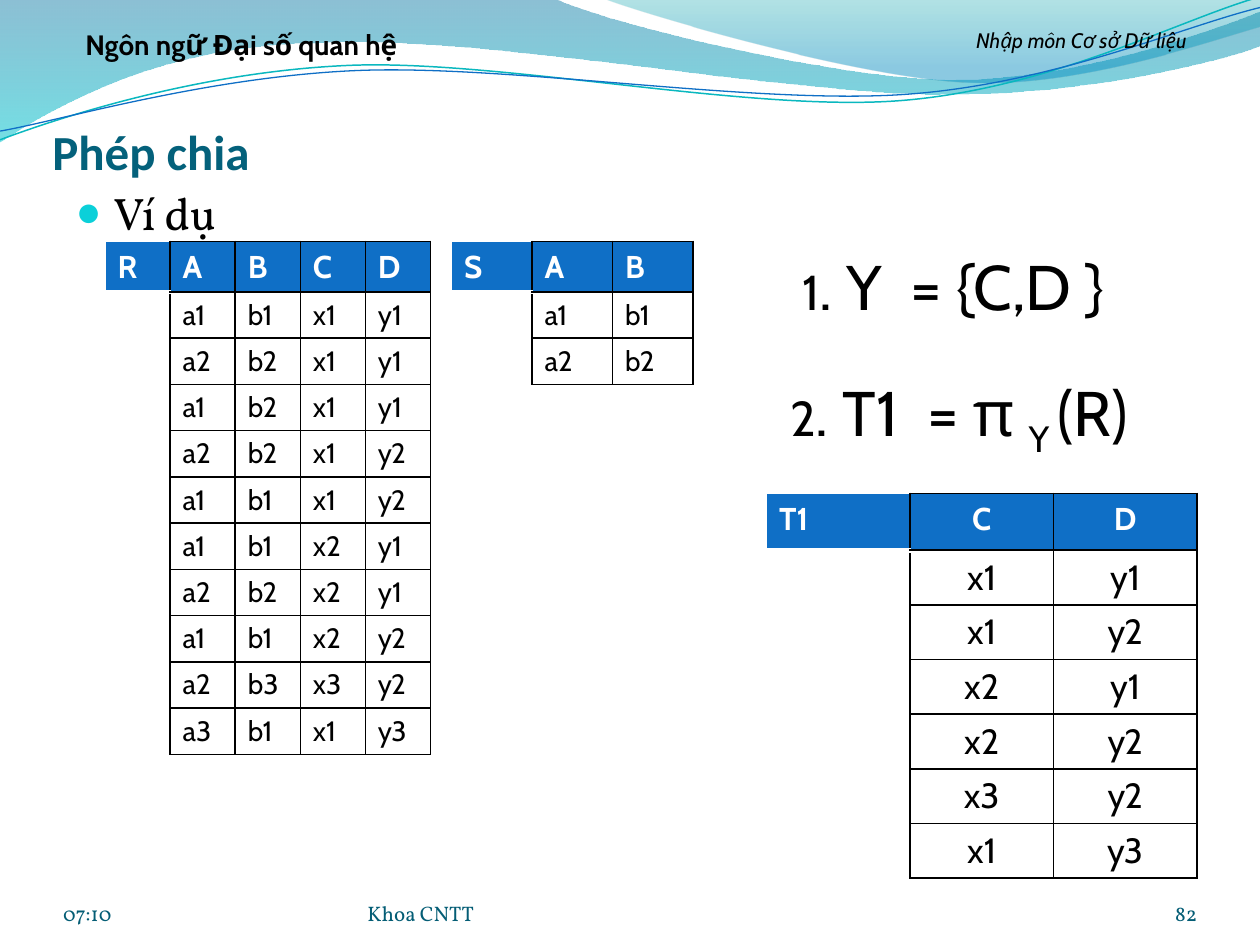
from dataclasses import dataclass

from lxml.etree import SubElement
from pptx import Presentation
from pptx.dml.color import RGBColor
from pptx.enum.text import MSO_ANCHOR, PP_ALIGN
from pptx.oxml.ns import qn
from pptx.util import Pt


@dataclass(frozen=True)
class Theme:
    blue: str = "0F6FC6"
    teal: str = "0AB8BF"
    bullet: str = "0BD0D9"
    heading: str = "04617B"
    footer: str = "045D75"
    black: str = "000000"
    white: str = "FFFFFF"
    upper_wave: tuple = ((0, "0074A1", 45), (1, "00C6CF", 55))
    right_wave: tuple = ((0, "00A1A9", 30), (0.8, "008BBF", 45))
    sans: str = "Cabin"
    serif: str = "Vollkorn"
    title_font: str = "Calibri"
    small: int = 12
    cell: int = 16
    header: int = 18
    large_cell: int = 20
    body: int = 26
    title: int = 28
    formula: int = 36


THEME = Theme()
LEFT, CENTER, RIGHT = PP_ALIGN.LEFT, PP_ALIGN.CENTER, PP_ALIGN.RIGHT

UPPER_WAVE = (0, -0.7), [
    [(317, -0.7)],
    [(343, 12.2), (478, 45.4), (546, 45.4)],
    [(614, 45.4), (690, 18.7), (720, 6.5)],
    [(720.7, 25.9)],
    [(707.8, 31.7), (626.4, 54.7), (537, 54)],
    [(447.8, 54), (275, 20.2), (185, 24.5)],
    [(92.9, 25.2), (33.1, 59.8), (-0.7, 81.4)],
]
RIGHT_WAVE = (344.9, -0.7), [
    [(366.5, 7.9), (491, 44.6), (553.7, 46.8)],
    [(616.3, 49.7), (691.9, 23), (720, 15.1)],
    [(720, 0)],
]
TEAL_CURVE = (0, 79.9), [
    [(34.6, 67), (113.8, 41), (199.4, 37.4)],
    [(284.4, 33.8), (427, 64.1), (513.4, 57.6)],
    [(599.8, 51.1), (675.4, 10.8), (718.6, -1.4)],
]
BLUE_CURVE = (0, 74.9), [
    [(33.8, 69.1), (118.1, 43.9), (203.8, 40.3)],
    [(290.2, 36.7), (429.8, 59.8), (516.2, 54)],
    [(601.9, 48.2), (675.4, 15.1), (720, 4.3)],
]


def rgb(value):
    return RGBColor.from_string(value)


def style(font, name, size, color, bold=False, italic=False):
    font.color.rgb = rgb(color)
    values = {"name": name, "size": Pt(size), "bold": bold, "italic": italic}
    for key, value in values.items():
        setattr(font, key, value)


def place(shape, left, top, width, height):
    values = {"left": left, "top": top, "width": width, "height": height}
    for key, value in values.items():
        setattr(shape, key, Pt(value))


def set_frame(frame, anchor, margins):
    values = {"word_wrap": True, "vertical_anchor": anchor}
    sides = ("margin_left", "margin_top", "margin_right", "margin_bottom")
    values.update(zip(sides, map(Pt, margins)))
    for key, value in values.items():
        setattr(frame, key, value)


def add_span(para, text, *look, baseline=0, **options):
    span = para.add_run()
    span.text = text
    style(span.font, *look, **options)
    if baseline:
        span.font._element.set("baseline", str(baseline * 1000))


def add_outline(page, outline, close):
    start, segments = outline
    builder = page.shapes.build_freeform(*map(Pt, start))
    builder.add_line_segments([tuple(map(Pt, segment[-1])) for segment in segments], close)
    shape = builder.convert_to_shape()
    shape.shadow.inherit = False
    for node, segment in zip(list(shape._element.iter(qn("a:lnTo"))), segments):
        if len(segment) == 3:
            node.tag = qn("a:cubicBezTo")
            for index, (x, y) in enumerate(segment[:2]):
                point = SubElement(node, qn("a:pt"))
                point.set("x", str(Pt(x) - shape.left))
                point.set("y", str(Pt(y) - shape.top))
                node.insert(index, point)
    return shape


def add_wave(page, outline, stops):
    shape = add_outline(page, outline, True)
    shape.line.fill.background()
    shape.fill.gradient()
    shape.fill.gradient_angle = 270
    for stop, (position, color, _) in zip(shape.fill.gradient_stops, stops):
        stop.position = position
        stop.color.rgb = rgb(color)
    for node, (_, _, opacity) in zip(shape._element.iter(qn("a:srgbClr")), stops):
        SubElement(node, qn("a:alpha")).set("val", str(opacity * 1000))


def add_curve(page, outline, color, width):
    shape = add_outline(page, outline, False)
    shape.fill.background()
    shape.line.color.rgb = rgb(color)
    shape.line.width = Pt(width)


def fill_title(page, text):
    title = page.shapes.title
    page.shapes._spTree.append(title._element)
    place(title, 30, 54, 672, 49)
    set_frame(title.text_frame, MSO_ANCHOR.BOTTOM, (0, 3.6, 0, 0))
    para = title.text_frame.paragraphs[0]
    para.alignment = LEFT
    add_span(para, text, THEME.title_font, THEME.title, THEME.heading, bold=True)


def fill_body(page, text):
    body = page.placeholders[1]
    page.shapes._spTree.append(body._element)
    place(body, 36, 102, 648, 408)
    para = body.text_frame.paragraphs[0]
    properties = para._p.get_or_add_pPr()
    properties.set("marL", str(Pt(21.6)))
    properties.set("indent", str(Pt(-21.6)))
    color = SubElement(properties, qn("a:buClr"))
    SubElement(color, qn("a:srgbClr")).set("val", THEME.bullet)
    SubElement(properties, qn("a:buSzPct")).set("val", "95000")
    SubElement(properties, qn("a:buChar")).set("char", "●")
    para.space_before = Pt(0)
    add_span(para, text, THEME.serif, THEME.body, THEME.black)


def add_label(page, bounds, spans, align=CENTER, anchor=MSO_ANCHOR.TOP,
              margins=(7.2, 3.6, 7.2, 3.6)):
    box = page.shapes.add_textbox(*map(Pt, bounds))
    set_frame(box.text_frame, anchor, margins)
    para = box.text_frame.paragraphs[0]
    para.alignment = align
    for text, look, options in spans:
        add_span(para, text, *look, **options)


def add_footer(page, left, width, text, align=LEFT):
    look = (THEME.serif, THEME.small, THEME.footer)
    add_label(page, (left, 500.4, width, 28.8), [(text, look, {})], align,
              MSO_ANCHOR.BOTTOM, (0, 0, 0, 0))


def add_formula(page, left, top, right_margin, parts):
    spans = [(text, (THEME.sans, size, THEME.black), {"baseline": baseline})
             for text, size, baseline in parts]
    add_label(page, (left, top, 264, 51), spans, margins=(7.2, 3.6, right_margin, 3.6))


def set_borders(cell, borders):
    properties = cell._tc.get_or_add_tcPr()
    for side, (color, width) in zip("LRTB", borders):
        line = SubElement(properties, qn(f"a:ln{side}"), w=str(Pt(width)))
        fill = SubElement(line, qn("a:solidFill"))
        SubElement(fill, qn("a:srgbClr")).set("val", color)


def add_relation(page, bounds, rows, heights, size, align, merged):
    header, *records = [row.split() for row in rows]
    grid = [header] + [["", *record] for record in records]
    table = page.shapes.add_table(len(grid), len(header), *map(Pt, bounds)).table
    table.first_row = table.horz_banding = False
    for column in table.columns:
        column.width = Pt(bounds[2] / len(header))
    black, white = (THEME.black, 1), (THEME.white, 1)
    for i, row in enumerate(grid):
        table.rows[i].height = Pt(heights[min(i, 1)])
        for j, text in enumerate(row):
            cell = table.cell(i, j)
            bottom = white if i else (THEME.white, 3)
            set_borders(cell, [black] * 4 if j else [white, black, white, bottom])
            if i:
                cell.fill.background()
            else:
                cell.fill.solid()
                cell.fill.fore_color.rgb = rgb(THEME.blue)
            if text:
                para = cell.text_frame.paragraphs[0]
                para.alignment = align if j else LEFT
                look = (size, THEME.black) if i else (THEME.header, THEME.white)
                add_span(para, text, THEME.sans, *look, bold=i == 0)
    table.cell(1, 0).merge(table.cell(merged, 0))


def main():
    deck = Presentation()
    deck.slide_width, deck.slide_height = Pt(720), Pt(540)
    page = deck.slides.add_slide(deck.slide_layouts[1])

    add_wave(page, UPPER_WAVE, THEME.upper_wave)
    add_wave(page, RIGHT_WAVE, THEME.right_wave)
    add_curve(page, TEAL_CURVE, THEME.teal, 0.85)
    add_curve(page, BLUE_CURVE, THEME.blue, 0.75)
    fill_title(page, "Phép chia")
    fill_body(page, "Ví dụ")
    add_footer(page, 36, 168, "07:10")
    add_footer(page, 624, 60, "82", RIGHT)
    add_footer(page, 210, 264, "Khoa CNTT")
    add_label(page, (516, 12, 204, 27), [
        ("Nhập môn Cơ sở Dữ liệu", (THEME.sans, THEME.small, THEME.black), {"italic": True})])
    add_label(page, (18, 12, 240, 27), [
        ("Ngôn ngữ Đại số quan hệ", (THEME.sans, THEME.cell, THEME.black), {"bold": True})])

    add_relation(page, (258, 138, 138, 81.6), ["S A B", "a1 b1", "a2 b2"],
                 (28.8, 26.4), THEME.cell, LEFT, 2)
    add_relation(page, (60, 138, 186, 292.8), [
        "R A B C D", "a1 b1 x1 y1", "a2 b2 x1 y1", "a1 b2 x1 y1", "a2 b2 x1 y2",
        "a1 b1 x1 y2", "a1 b1 x2 y1", "a2 b2 x2 y1", "a1 b1 x2 y2", "a2 b3 x3 y2",
        "a3 b1 x1 y3"], (28.8, 26.4), THEME.cell, LEFT, 10)
    add_formula(page, 414, 138, 9.5, [
        ("1", THEME.title, 0), (". Y  = {C,D }", THEME.formula, 0)])
    add_formula(page, 420, 210, 15.2, [
        ("2", THEME.title, 0), (". T1  = π ", THEME.formula, 0),
        ("Y ", THEME.formula, -25), ("(R)", THEME.formula, 0)])
    add_relation(page, (438, 282, 246, 219.9), [
        "T1 C D", "x1 y1", "x1 y2", "x2 y1", "x2 y2", "x3 y2", "x1 y3"],
        (32.4, 31.25), THEME.large_cell, CENTER, 4)
    deck.save("out.pptx")


if __name__ == "__main__":
    main()
